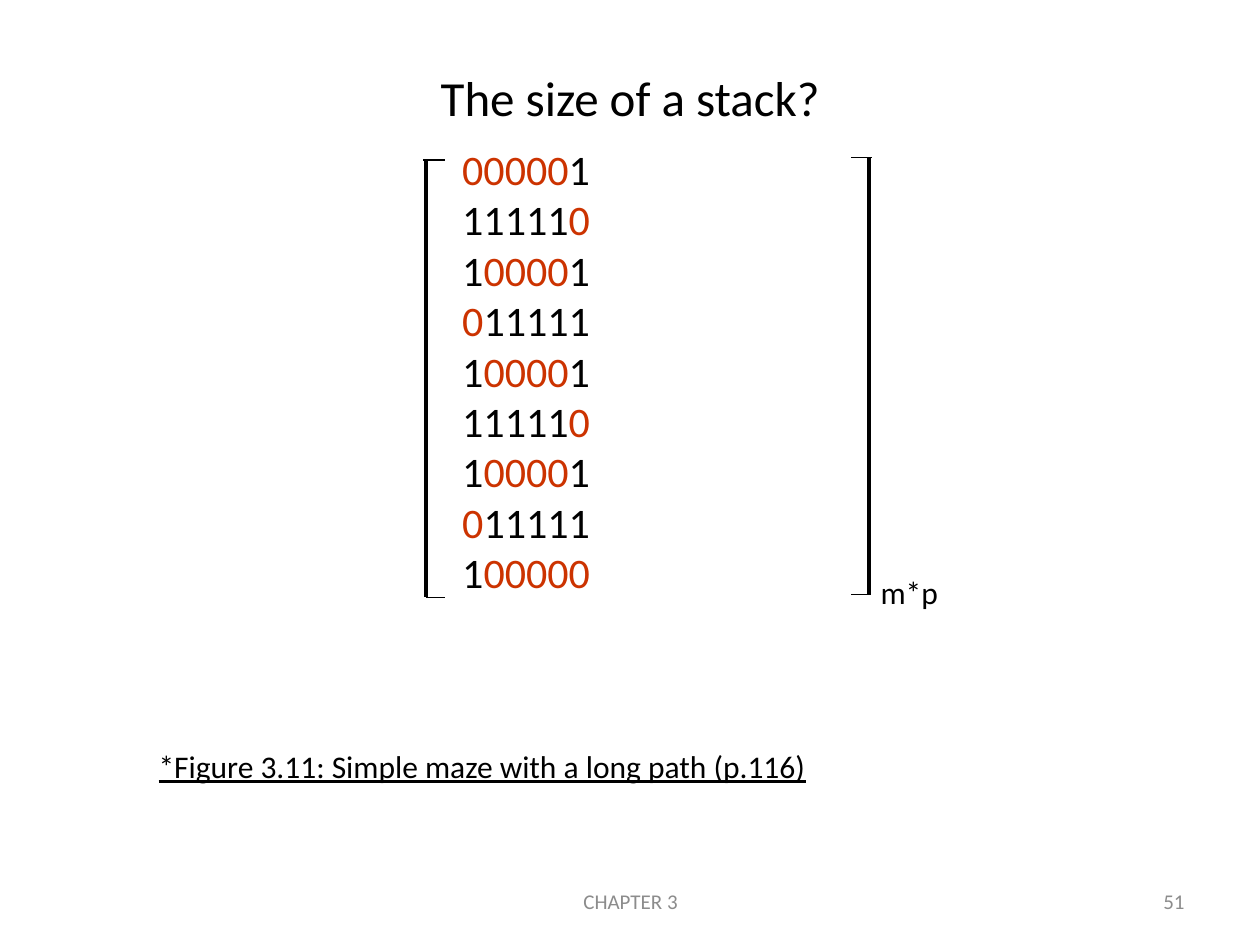
from itertools import groupby
from pptx import Presentation
from pptx.dml.color import RGBColor
from pptx.enum.shapes import MSO_CONNECTOR as Link
from pptx.enum.text import MSO_ANCHOR as Anchor, MSO_AUTO_SIZE as Fit, PP_ALIGN as Align
from pptx.oxml.ns import qn
from pptx.util import Inches, Pt
from lxml import etree

BLACK, RED, GREY = "000000", "CC3300", "8C8C8C"
MAZE = ["000001", "111110", "100001", "011111", "100001",
        "111110", "100001", "011111", "100000"]


def color(code):
    return RGBColor.from_string(code)


class Deck:
    """Style and current slide; lengths are cells of a 100 by 75 grid."""
    font = "Calibri"
    cols, rows = 100, 75

    def __init__(self, wide, high):
        self.file = Presentation()
        self.file.slide_width = Inches(wide)
        self.file.slide_height = Inches(high)
        self.slide = self.file.slides.add_slide(self.file.slide_layouts[6])

    def x(self, col):
        return round(self.file.slide_width * col / self.cols)

    def y(self, row):
        return round(self.file.slide_height * row / self.rows)

    def text(self, box, lines, size, tone=BLACK, align=Align.LEFT,
             wrap=False, fit=Fit.SHAPE_TO_FIT_TEXT, anchor=Anchor.TOP, under=None):
        """Each line is a list of (words, colour) runs, or plain words."""
        left, top, wide, high = box
        frame = self.slide.shapes.add_textbox(
            self.x(left), self.y(top), self.x(wide), self.y(high)).text_frame
        frame.word_wrap = wrap
        frame.auto_size = fit
        frame.vertical_anchor = anchor
        for i, line in enumerate(lines):
            para = frame.add_paragraph() if i else frame.paragraphs[0]
            para.alignment = align
            para.font.name, para.font.size = self.font, Pt(size)
            para.font.underline = under
            runs = [(line, tone)] if isinstance(line, str) else line
            for words, hue in runs:
                run = para.add_run()
                run.text = words
                run.font.color.rgb = color(hue)

    def line(self, start, end, width):
        link = self.slide.shapes.add_connector(
            Link.STRAIGHT, self.x(start[0]), self.y(start[1]),
            self.x(end[0]), self.y(end[1]))
        link.line.color.rgb = color(BLACK)
        link.line.width = Pt(width)
        etree.SubElement(link._element.spPr, qn("a:effectLst"))

    def bracket(self, col, top, foot, tick):
        """A tick above zero points right, below zero left."""
        lip = -0.2 if tick > 0 else 0.2
        self.line((col, top), (col, foot), 2.25)
        self.line((col + lip, top), (col + tick, top), 0.75)
        self.line((col, foot), (col + tick, foot), 0.75)


def main():
    deck = Deck(10, 7.5)

    # Footer and slide number
    for box, words, align in (((34.2, 69.5, 31.7, 4), "CHAPTER 3", Align.CENTER),
                              ((71.7, 69.5, 23.3, 4), "51", Align.RIGHT)):
        deck.text(box, [words], 12, GREY, align, True, Fit.NONE, Anchor.MIDDLE)

    # Maze matrix: the open path of zeros is red
    grid = [[("".join(same), RED if bit == "0" else BLACK)
             for bit, same in groupby(row)] for row in MAZE]
    deck.text((35.7, 10.9, 31.8, 36.9), grid, 24, align=Align.JUSTIFY, wrap=True)
    deck.bracket(33.8, 12.7, 47.4, 1.5)
    deck.bracket(69, 12.5, 47.2, -1.5)

    # Title, caption and matrix size
    deck.text((32.9, 4.9, 34.2, 5.7), ["The size of a stack?"], 28, align=Align.CENTER)
    deck.text((11.6, 58.8, 54.5, 4),
              ["*Figure 3.11: Simple maze with a long path (p.116)"], 18, under=True)
    deck.text((68.9, 45, 6.9, 4.3), ["m*p"], 18)

    deck.file.save("out.pptx")


if __name__ == "__main__":
    main()
